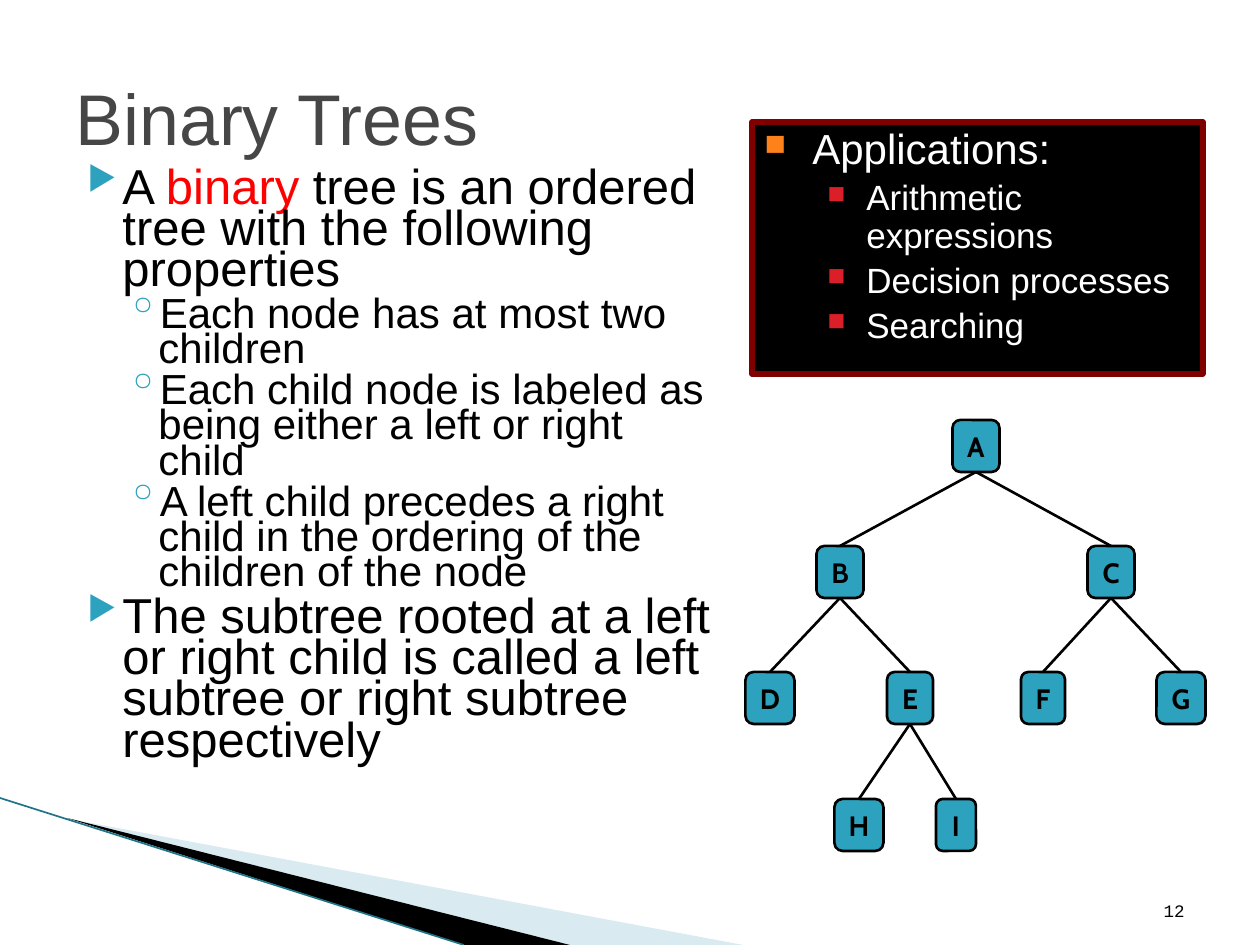
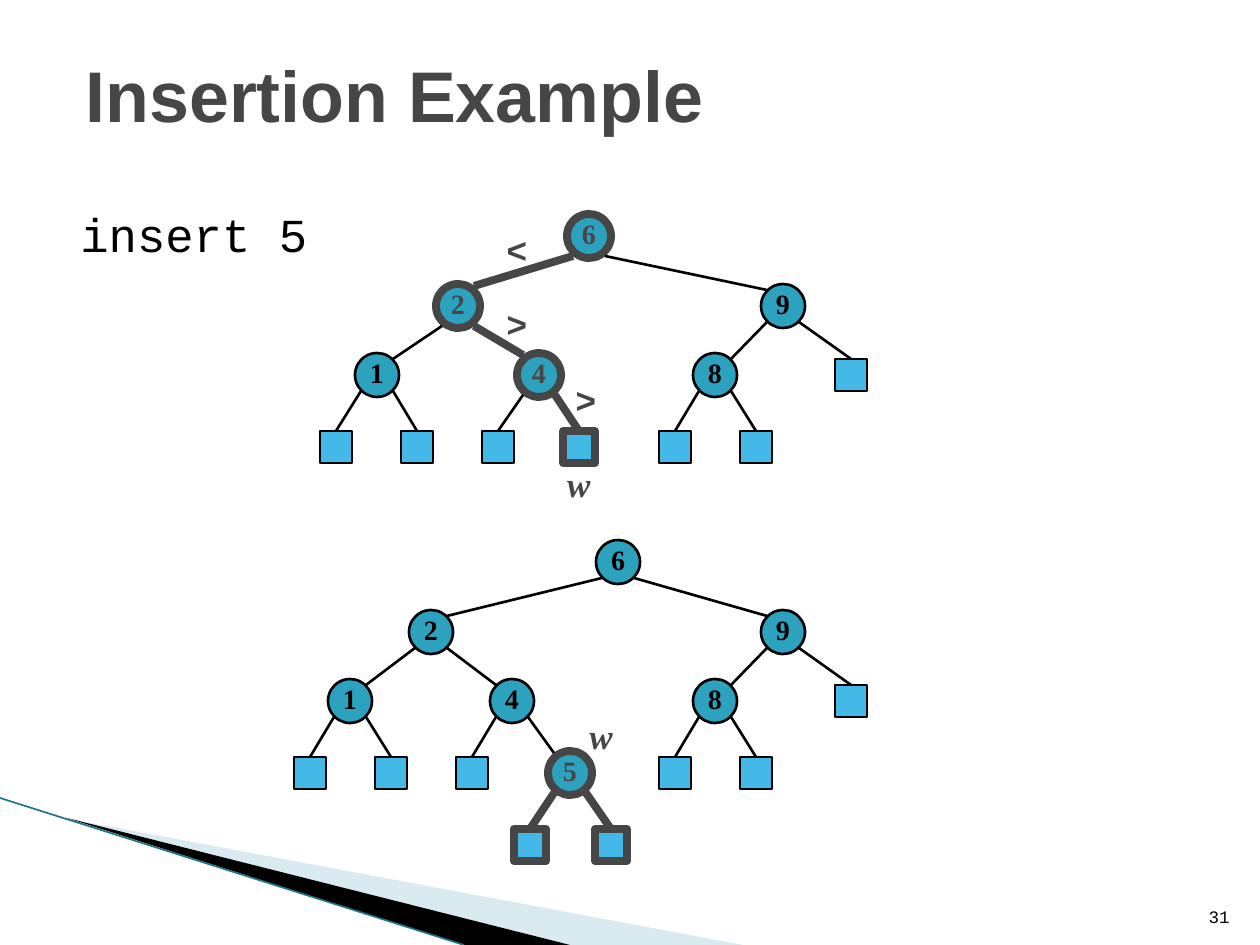
from dataclasses import dataclass
from typing import NamedTuple

from lxml.etree import SubElement
from pptx import Presentation
from pptx.dml.color import RGBColor
from pptx.enum.shapes import MSO_CONNECTOR, MSO_SHAPE
from pptx.enum.text import MSO_ANCHOR as ANCHOR, MSO_AUTO_SIZE as AUTOSIZE, PP_ALIGN as ALIGN
from pptx.oxml.ns import qn
from pptx.util import Emu, Pt

PX = 914400 / 126
TITLE_ONLY = 5


@dataclass(frozen=True)
class Theme:
    ink: str = "000000"
    paper: str = "FFFFFF"
    heading: str = "464646"
    key_word: str = "FF0000"
    node: str = "2DA2BF"
    leaf: str = "44B9E8"
    frame: str = "800000"
    orange: str = "FF8119"
    red: str = "DA1F28"
    wedge: str = "A0CBDC"
    accent: str = "1F7488"
    sans: str = "Arial"
    mono: str = "Courier New"
    serif: str = "Times New Roman"
    label: str = "Cabin"
    title_size: int = 41
    command_size: int = 27
    mark_size: int = 20
    node_size: int = 16
    number_size: int = 10
    thin: float = 1.5
    thick: float = 4.5


T = Theme()


class Node(NamedTuple):
    label: str
    x: int
    children: tuple = ()
    hot: bool = False
    width: int = 44


class Level(NamedTuple):
    """How one outline level is set; margin and hang in px."""
    size: int
    margin: int
    hang: int
    before: float
    spacing: float = 1.0
    bullet: str = ""
    bullet_color: str = ""
    bullet_percent: int = 100


def leaf(x, hot=False):
    return Node("", x, (), hot, 32)


# Content
PROPERTIES = [
    (0, [("A ", T.ink), ("binary", T.key_word),
         (" tree is an ordered tree with the following properties", T.ink)]),
    (1, [("Each node has at most two children", T.ink)]),
    (1, [("Each child node is labeled as being either a left or right child", T.ink)]),
    (1, [("A left child precedes a right child in the ordering of the children of the node", T.ink)]),
    (0, [("The subtree rooted at a left or right child is called a left subtree "
          "or right subtree respectively", T.ink)]),
]
PROPERTY_LEVELS = [Level(28, 50, 35, 4, 0.7, "▶", T.node, 68),
                   Level(24, 86, 32, 3.2, 0.7, "◦", T.node)]

APPLICATIONS = [
    (0, [("Applications:", T.paper)]),
    (1, [("Arithmetic expressions", T.paper)]),
    (1, [("Decision processes", T.paper)]),
    (1, [("Searching", T.paper)]),
]
APPLICATION_LEVELS = [Level(24, 48, 48, 4.8, 0.9, "■", T.orange, 70),
                      Level(20, 102, 39, 4, 0.9, "■", T.red, 70)]

COMMAND = [(0, [("insert 5", T.ink)])]
COMMAND_LEVELS = [Level(T.command_size, 50, 35, 4)]

LETTERS = Node("A", 976, (
    Node("B", 840, (
        Node("D", 770, width=49),
        Node("E", 910, (Node("H", 859, width=49), Node("I", 956, width=40)), width=46),
    ), width=47),
    Node("C", 1111, (Node("F", 1043, width=44), Node("G", 1181, width=49)), width=47),
), width=47)
LETTER_ROWS = [446, 572, 698, 825]

RIGHT_BRANCH = Node("9", 783, (Node("8", 715, (leaf(675), leaf(756))), leaf(851)))
BEFORE_INSERT = Node("6", 589, (
    Node("2", 458, (
        Node("1", 377, (leaf(336), leaf(417))),
        Node("4", 539, (leaf(498), leaf(579, True)), True),
    ), True),
    RIGHT_BRANCH,
), True)
AFTER_INSERT = Node("6", 618, (
    Node("2", 431, (
        Node("1", 350, (leaf(310), leaf(391))),
        Node("4", 512, (leaf(472), Node("5", 570, (leaf(530, True), leaf(611, True)), True))),
    )),
    RIGHT_BRANCH,
))
ROW_OFFSETS = [0, 70, 139, 211, 283]
INSERT_TREES = [(236, BEFORE_INSERT), (562, AFTER_INSERT)]

COMPARISONS = [("<", 517, 222), (">", 517, 296), (">", 586, 372)]
POSITIONS = [("w", 579, 456), ("w", 601, 708)]

WEDGES = [(T.wedge, 40, [(69, 819), (743, 945), (570, 945)]),
          (T.ink, 100, [(67, 818), (570, 945), (464, 945)])]
ACCENT_LINE = (0, 798, 464, 945)


def px(*lengths):
    return [Emu(round(length * PX)) for length in lengths]


def put(target, **values):
    for key, value in values.items():
        setattr(target, key, value)


def paint(shape, fill, line=None, weight=T.thin):
    shape.shadow.inherit = False
    shape.fill.solid()
    shape.fill.fore_color.rgb = RGBColor.from_string(fill)
    if line:
        shape.line.color.rgb = RGBColor.from_string(line)
        shape.line.width = Pt(weight)
    else:
        shape.line.fill.background()


def add_run(paragraph, text, font, size, color, **style):
    run = paragraph.add_run()
    run.text = text
    put(run.font, name=font, size=Pt(size), **style)
    run.font.color.rgb = RGBColor.from_string(color)


def write_line(frame, text, font, size, color, align=ALIGN.LEFT, anchor=ANCHOR.TOP,
               wrap=True, **style):
    put(frame, word_wrap=wrap, vertical_anchor=anchor, auto_size=AUTOSIZE.NONE)
    frame.paragraphs[0].alignment = align
    add_run(frame.paragraphs[0], text, font, size, color, **style)


def write_outline(frame, items, levels, font):
    put(frame, word_wrap=True, vertical_anchor=ANCHOR.TOP)
    for index, (depth, runs) in enumerate(items):
        level = levels[depth]
        paragraph = frame.add_paragraph() if index else frame.paragraphs[0]
        put(paragraph, level=depth, alignment=ALIGN.LEFT, line_spacing=level.spacing,
            space_before=Pt(level.before))
        for text, color in runs:
            add_run(paragraph, text, font, level.size, color)
        props = paragraph._p.get_or_add_pPr()
        margin, indent = px(level.margin, -level.hang)
        props.set("marL", str(margin))
        props.set("indent", str(indent))
        if level.bullet:
            color = SubElement(props, qn("a:buClr"))
            SubElement(color, qn("a:srgbClr"), val=level.bullet_color)
            SubElement(props, qn("a:buSzPct"), val=str(level.bullet_percent * 1000))
            SubElement(props, qn("a:buChar"), char=level.bullet)


def add_text_box(slide, place):
    return slide.shapes.add_textbox(*px(*place)).text_frame


def add_line(slide, ends, color, weight):
    line = slide.shapes.add_connector(MSO_CONNECTOR.STRAIGHT, *px(*ends))
    line.line.color.rgb = RGBColor.from_string(color)
    line.line.width = Pt(weight)
    SubElement(line._element.spPr, qn("a:effectLst"))
    return line


def add_node(slide, node, y, boxed):
    if boxed:
        kind, height, fill, font = MSO_SHAPE.ROUNDED_RECTANGLE, 52, T.node, T.label
    elif node.label:
        kind, height, fill, font = MSO_SHAPE.OVAL, node.width, T.node, T.serif
    else:
        kind, height, fill, font = MSO_SHAPE.RECTANGLE, node.width, T.leaf, T.serif
    shape = slide.shapes.add_shape(
        kind, *px(node.x - node.width / 2, y - height / 2, node.width, height))
    color = T.heading if node.hot else T.ink
    paint(shape, fill, color, T.thick if node.hot else T.thin)
    if node.label:
        write_line(shape.text_frame, node.label, font, T.node_size, color,
                   ALIGN.CENTER, ANCHOR.MIDDLE, wrap=False, bold=True)
    if kind == MSO_SHAPE.OVAL:
        put(shape.text_frame, margin_left=0, margin_right=0, margin_top=0, margin_bottom=px(6)[0])
    return shape


def add_tree(slide, node, rows, boxed=False):
    """Draw a node at the first row and its subtrees on the rows below."""
    shape = add_node(slide, node, rows[0], boxed)
    for child in node.children:
        child_shape = add_tree(slide, child, rows[1:], boxed)
        side = 16 if child.x > node.x else -16
        hot = node.hot and child.hot
        edge = add_line(slide, (node.x + side, rows[0] + (20 if node.hot else 16),
                                child.x - side, rows[1] - (20 if child.hot else 16)),
                        T.heading if hot else T.ink, T.thick if hot else T.thin)
        if boxed:
            edge.begin_connect(shape, 2)
        if boxed or not child.label:
            edge.end_connect(child_shape, 0)
    return shape


def start_slide(deck, title, title_place, number, number_place, bold=False):
    slide = deck.slides.add_slide(deck.slide_layouts[TITLE_ONLY])
    for color, opacity, (first, *others) in WEDGES:
        outline = slide.shapes.build_freeform(*first, scale=PX)
        outline.add_line_segments(others)
        wedge = outline.convert_to_shape()
        paint(wedge, color)
        if opacity < 100:
            solid = wedge._element.spPr.find(qn("a:solidFill"))
            SubElement(solid[0], qn("a:alpha"), val=str(opacity * 1000))
    add_line(slide, ACCENT_LINE, T.accent, 0.95)

    heading = slide.shapes.title
    put(heading, **dict(zip(("left", "top", "width", "height"), px(*title_place))))
    write_line(heading.text_frame, title, T.sans, T.title_size, T.heading,
               anchor=ANCHOR.MIDDLE, bold=bold)
    write_line(add_text_box(slide, number_place), number, T.mono, T.number_size, T.ink,
               ALIGN.RIGHT, ANCHOR.BOTTOM)
    return slide


def add_binary_trees(deck):
    slide = start_slide(deck, "Binary Trees", (63, 38, 1134, 158), "12", (903, 861, 294, 66))
    write_outline(add_text_box(slide, (60, 165, 673, 625)), PROPERTIES, PROPERTY_LEVELS, T.sans)
    panel = slide.shapes.add_shape(MSO_SHAPE.RECTANGLE, *px(752, 122, 451, 252))
    paint(panel, T.ink, T.frame, 3)
    write_outline(panel.text_frame, APPLICATIONS, APPLICATION_LEVELS, T.sans)
    add_tree(slide, LETTERS, LETTER_ROWS, boxed=True)


def add_insertion_example(deck):
    slide = start_slide(deck, "Insertion Example", (73, 32, 1134, 123), "31",
                        (1192, 883, 50, 50), bold=True)
    write_outline(add_text_box(slide, (53, 199, 294, 73)), COMMAND, COMMAND_LEVELS, T.mono)
    for top, root in INSERT_TREES:
        add_tree(slide, root, [top + offset for offset in ROW_OFFSETS])
    for marks, font, italic in ((COMPARISONS, T.sans, False), (POSITIONS, T.serif, True)):
        for text, center, top in marks:
            write_line(add_text_box(slide, (center - 24, top, 48, 54)), text, font, T.mark_size,
                       T.heading, ALIGN.CENTER, wrap=False, bold=True, italic=italic)


def main():
    deck = Presentation()
    deck.slide_width, deck.slide_height = px(1260, 945)
    add_binary_trees(deck)
    add_insertion_example(deck)
    deck.save("out.pptx")


if __name__ == "__main__":
    main()
